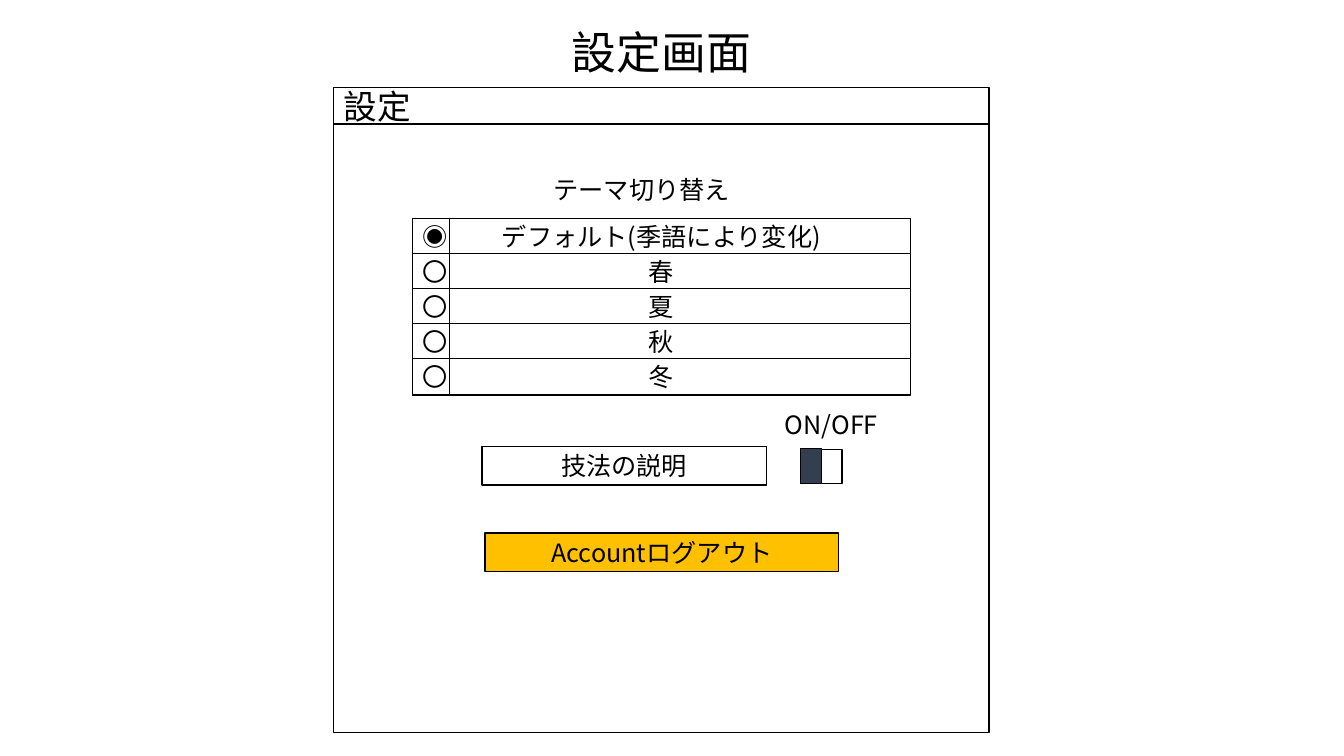
from lxml.etree import SubElement
from pptx import Presentation
from pptx.dml.color import RGBColor
from pptx.enum.shapes import MSO_SHAPE
from pptx.enum.text import MSO_ANCHOR, PP_ALIGN
from pptx.oxml.ns import qn
from pptx.util import Inches, Pt

FONT = "Noto Sans CJK JP"
BLACK, WHITE, AMBER, SLATE = "000000", "FFFFFF", "FFC000", "333F50"
SEASONS = ["デフォルト(季語により変化)", "春", "夏", "秋", "冬"]


def color(code):
    return RGBColor.from_string(code)


def write(frame, text, size=18, align=PP_ALIGN.CENTER, anchor=MSO_ANCHOR.MIDDLE, spacing=None):
    frame.word_wrap = True
    frame.vertical_anchor = anchor
    para = frame.paragraphs[0]
    para.alignment = align
    para.line_spacing = spacing
    run = para.add_run()
    run.text = text
    run.font.size = Pt(size)
    run.font.name = FONT
    run.font.color.rgb = color(BLACK)
    SubElement(run.font._element, qn("a:ea"), typeface=FONT)


class Sketch:
    def __init__(self, deck):
        self.wide, self.high = deck.slide_width, deck.slide_height
        self.slide = deck.slides.add_slide(deck.slide_layouts[6])

    def place(self, x, y, w, h):
        return [round(part * side / 100) for part, side in
                zip((x, y, w, h), (self.wide, self.high) * 2)]

    def label(self, area, text, **style):
        field = self.slide.shapes.add_textbox(*self.place(*area))
        write(field.text_frame, text, **style)

    def box(self, area, text="", fill=WHITE, line=BLACK, **style):
        shape = self.slide.shapes.add_shape(MSO_SHAPE.RECTANGLE, *self.place(*area))
        shape.shadow.inherit = False
        shape.fill.solid()
        shape.fill.fore_color.rgb = color(fill)
        if line:
            shape.line.color.rgb = color(line)
            shape.line.width = Pt(1)
        else:
            shape.line.fill.background()
        if text:
            write(shape.text_frame, text, **style)


def main():
    deck = Presentation()
    deck.slide_width, deck.slide_height = Inches(13.33), Inches(7.5)
    page = Sketch(deck)

    page.label((8.4, 2.93, 81.62, 8.67), "設定画面", size=32, spacing=0.9)
    left, width, top = 24.83, 48.76, 16.4
    page.box((left, top, width, 80.53))
    page.box((56.11, 51.07, 11.48, 10.27), "ON/OFF", line=None)
    page.box((left, top - 4.8, width, 4.8), "設定", size=24, align=PP_ALIGN.LEFT)
    page.label((40.44, 22.4, 17.48, 5.33), "テーマ切り替え",
               align=PP_ALIGN.LEFT, anchor=MSO_ANCHOR.TOP)

    for index, season in enumerate(SEASONS):
        row = 28.93 + 4.63 * index
        page.box((30.68, row, 37.06, 4.8), season)
        page.box((30.68, row, 2.78, 4.8), "〇" if index else "◉")

    page.box((36.08, 70.53, 26.33, 5.07), "Accountログアウト", fill=AMBER)
    page.box((35.86, 59.07, 21.16, 5.07), "技法の説明")
    page.box((59.56, 59.33, 1.58, 4.67), fill=SLATE)
    page.box((61.14, 59.47, 1.5, 4.53))

    deck.save("out.pptx")


if __name__ == "__main__":
    main()
